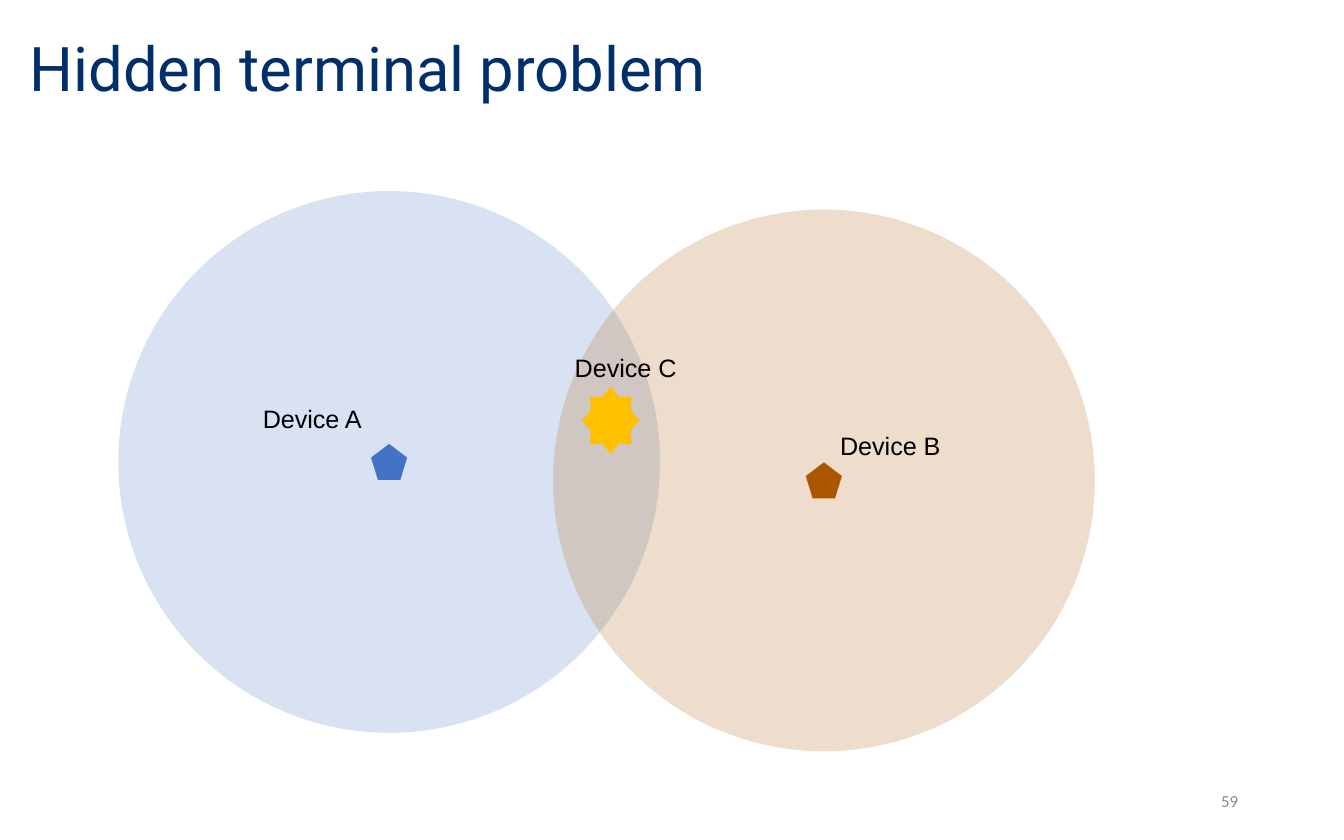
import pptx
import pptx.util
import pptx.dml.color
import pptx.enum.shapes
import pptx.enum.text
import pptx.oxml.ns
import lxml.etree

Pt = pptx.util.Pt
Shape = pptx.enum.shapes.MSO_SHAPE
Align = pptx.enum.text.PP_ALIGN
Anchor = pptx.enum.text.MSO_ANCHOR

COLORS = {
    "title": "002F6C",
    "label": "000000",
    "number": "888888",
    "device_a": "4472C4",
    "device_b": "AC5600",
    "device_c": "FFC000",
}
RANGE_SIZE = 290.2
DEVICE_SIZE = 19.4


def write_text(box, text, *, font, size, color, align=Align.LEFT, anchor=Anchor.TOP, spacing=1.0):
    frame = box.text_frame
    frame.word_wrap = True
    frame.vertical_anchor = anchor
    frame.margin_left = frame.margin_right = Pt(7.2)
    frame.margin_top = frame.margin_bottom = Pt(3.6)
    para = frame.paragraphs[0]
    para.alignment = align
    para.line_spacing = spacing
    span = para.add_run()
    span.text = text
    span.font.name = font
    span.font.size = Pt(size)
    span.font.color.rgb = pptx.dml.color.RGBColor.from_string(COLORS[color])


def add_centred(kind, center_x, center_y, width, height, color, opacity=100):
    shape = page.shapes.add_shape(
        kind, Pt(center_x - width / 2), Pt(center_y - height / 2), Pt(width), Pt(height))
    shape.shadow.inherit = False
    shape.line.fill.background()
    shape.fill.solid()
    shape.fill.fore_color.rgb = pptx.dml.color.RGBColor.from_string(COLORS[color])
    if opacity < 100:
        tint = shape.fill._xPr.find(".//" + pptx.oxml.ns.qn("a:srgbClr"))
        alpha = lxml.etree.SubElement(tint, pptx.oxml.ns.qn("a:alpha"))
        alpha.set("val", str(opacity * 1000))


deck = pptx.Presentation()
deck.slide_width, deck.slide_height = Pt(720), Pt(450)
page = deck.slides.add_slide(deck.slide_layouts[5])

title = page.shapes.title
title.left, title.top, title.width, title.height = Pt(8.6), Pt(7.2), Pt(613.4), Pt(61.9)
write_text(title, "Hidden terminal problem", font="Roboto", size=33, color="title",
           anchor=Anchor.MIDDLE, spacing=0.9)

number = page.shapes.add_textbox(Pt(508.3), Pt(416.9), Pt(162), Pt(23.8))
write_text(number, "59", font="Calibri", size=9, color="number",
           align=Align.RIGHT, anchor=Anchor.MIDDLE)

for color, x, y in [("device_a", 208.5, 247.5), ("device_b", 441.4, 257.4)]:
    add_centred(Shape.REGULAR_PENTAGON, x, y, DEVICE_SIZE, DEVICE_SIZE, color)
    add_centred(Shape.OVAL, x, y, RANGE_SIZE, RANGE_SIZE, color, opacity=20)

add_centred(Shape.STAR_8_POINT, 327.2, 225.2, 31, 36, "device_c")

for name, left, top in [("Device A", 133.7, 212.4), ("Device B", 443, 226.8), ("Device C", 300.8, 185)]:
    label = page.shapes.add_textbox(Pt(left), Pt(top), Pt(75.6), Pt(23.8))
    write_text(label, name, font="Arial", size=13.5, color="label")

deck.save("out.pptx")
